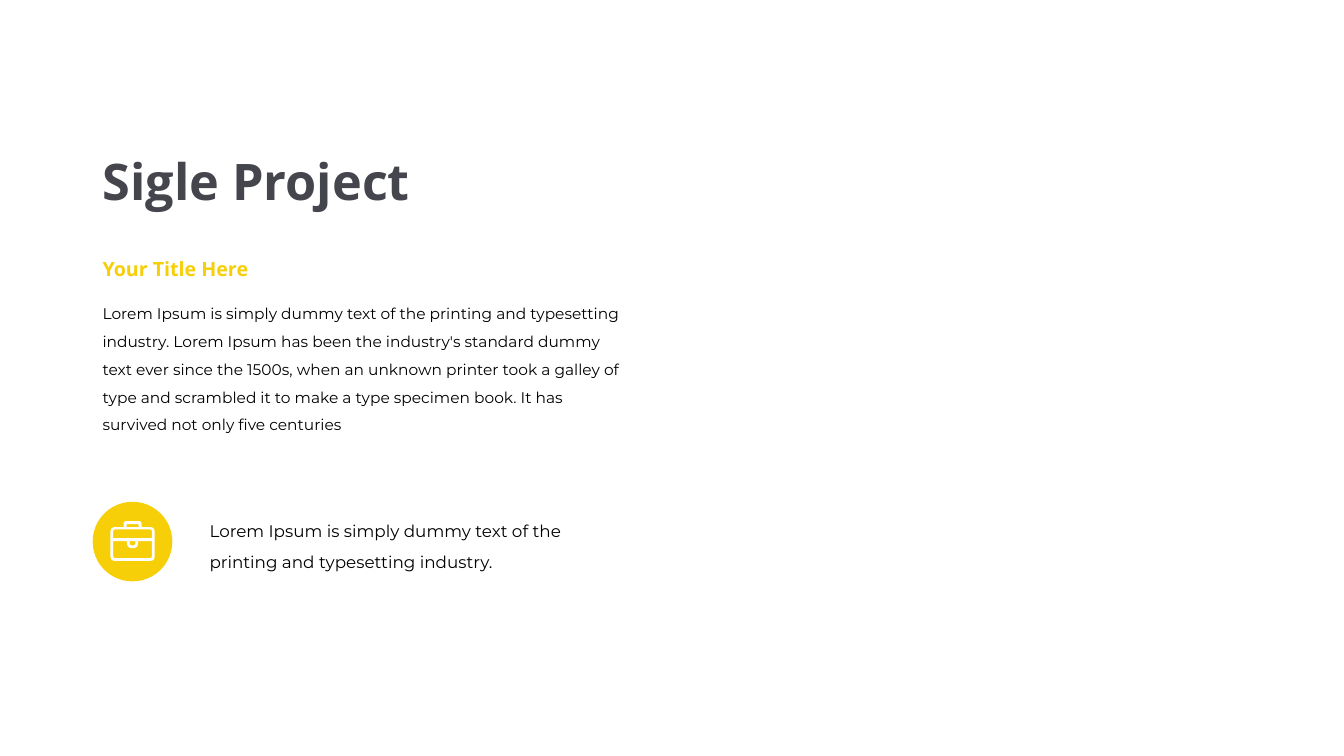
from dataclasses import dataclass
from math import hypot

from pptx import Presentation
from pptx.dml.color import RGBColor
from pptx.enum.shapes import MSO_SHAPE
from pptx.enum.text import MSO_AUTO_SIZE as AutoSize
from pptx.util import Pt


@dataclass(frozen=True)
class Theme:
    yellow: RGBColor = RGBColor(0xF6, 0xCF, 0x08)
    slate: RGBColor = RGBColor(0x45, 0x45, 0x4D)
    black: RGBColor = RGBColor(0, 0, 0)
    white: RGBColor = RGBColor(255, 255, 255)
    heading_font: str = "Open Sans"
    body_font: str = "Montserrat"
    title_size: int = 36
    subtitle_size: int = 14
    caption_size: int = 12
    body_size: int = 11


THEME = Theme()
LEFT = 66.2
UNITS = 100  # freeform steps per point

DESCRIPTION = (
    "Lorem Ipsum is simply dummy text of the printing and typesetting industry. "
    "Lorem Ipsum has been the industry's standard dummy text ever since the 1500s, "
    "when an unknown printer took a galley of type and scrambled it to make a type "
    "specimen book. It has survived not only five centuries"
)
CAPTION = "Lorem Ipsum is simply dummy text of the printing and typesetting industry."

# Each corner is x, y and rounding radius, in points from the icon's top left.
BRIEFCASE = [
    # silhouette
    [(0, 4.3, 3.6), (9.4, 4.3, 0), (9.4, 0, 2.2), (22.2, 0, 2.2),
     (22.2, 4.3, 0), (31.6, 4.3, 3.6), (31.6, 28.5, 3.6), (0, 28.5, 3.6)],
    # gap under the handle
    [(11.5, 4.3, 0), (11.5, 2.2, 0.7), (20.1, 2.2, 0.7), (20.1, 4.3, 0)],
    # upper panel
    [(1.9, 12.3, 0), (1.9, 5.9, 1.9), (29.7, 5.9, 1.9), (29.7, 12.3, 0)],
    # lower panel, notched around the clasp
    [(1.9, 14.4, 0), (11.8, 14.4, 0), (11.8, 19.4, 4), (19.8, 19.4, 4),
     (19.8, 14.4, 0), (29.7, 14.4, 0), (29.7, 26.5, 1.9), (1.9, 26.5, 1.9)],
    # clasp
    [(13.7, 14.4, 0), (13.7, 17.4, 2), (17.9, 17.4, 2), (17.9, 14.4, 0)],
]


def add_text(slide, text, top, width, height, size, color, font,
             left=LEFT, bold=False, spacing=1.0):
    box = slide.shapes.add_textbox(Pt(left), Pt(top), Pt(width), Pt(height))
    frame = box.text_frame
    frame.word_wrap = True
    frame.auto_size = AutoSize.SHAPE_TO_FIT_TEXT
    frame.text = text
    para = frame.paragraphs[0]
    para.line_spacing = spacing
    span = para.runs[0].font
    span.name, span.size, span.bold = font, Pt(size), bold
    span.color.rgb = color


def paint(shape, color):
    shape.shadow.inherit = False
    shape.fill.solid()
    shape.fill.fore_color.rgb = color
    shape.line.fill.background()


def add_disc(slide, left, top, diameter, color):
    disc = slide.shapes.add_shape(
        MSO_SHAPE.OVAL, Pt(left), Pt(top), Pt(diameter), Pt(diameter))
    paint(disc, color)


def rounded_outline(corners, steps=8):
    """Return freeform points, with a quadratic curve at each rounded corner."""
    points = []
    for index, (x, y, radius) in enumerate(corners):
        if not radius:
            points.append((x * UNITS, y * UNITS))
            continue
        ends = []
        for other in (corners[index - 1], corners[(index + 1) % len(corners)]):
            dx, dy = other[0] - x, other[1] - y
            reach = radius / hypot(dx, dy)
            ends.append((x + dx * reach, y + dy * reach))
        (ax, ay), (bx, by) = ends
        for step in range(steps + 1):
            t = step / steps
            a, c, b = (1 - t) ** 2, 2 * t * (1 - t), t ** 2
            points.append(((a * ax + c * x + b * bx) * UNITS,
                           (a * ay + c * y + b * by) * UNITS))
    return points


def add_icon(slide, outlines, left, top, color):
    """Draw the outlines as one shape; inner outlines become holes."""
    contours = [rounded_outline(corners) for corners in outlines]
    builder = slide.shapes.build_freeform(*contours[0][0], scale=Pt(1) / UNITS)
    builder.add_line_segments(contours[0][1:], close=True)
    for contour in contours[1:]:
        builder.move_to(*contour[0])
        builder.add_line_segments(contour[1:], close=True)
    paint(builder.convert_to_shape(Pt(left), Pt(top)), color)


def main():
    deck = Presentation()
    deck.slide_width, deck.slide_height = Pt(960), Pt(540)
    page = deck.slides.add_slide(deck.slide_layouts[6])

    add_text(page, DESCRIPTION, 207.4, 387.4, 107.3, THEME.body_size,
             THEME.black, THEME.body_font, spacing=1.5)
    add_text(page, "Sigle Project", 103.7, 488.9, 51.1, THEME.title_size,
             THEME.slate, THEME.heading_font, bold=True)
    add_text(page, "Your Title Here", 180, 169.9, 24.5, THEME.subtitle_size,
             THEME.yellow, THEME.heading_font, bold=True)
    add_text(page, CAPTION, 361.4, 272.9, 51.1, THEME.caption_size,
             THEME.black, THEME.body_font, left=142.6, spacing=1.5)
    add_disc(page, LEFT, 358.4, 56.9, THEME.yellow)
    add_icon(page, BRIEFCASE, 78.9, 372.2, THEME.white)

    deck.save("out.pptx")


if __name__ == "__main__":
    main()
